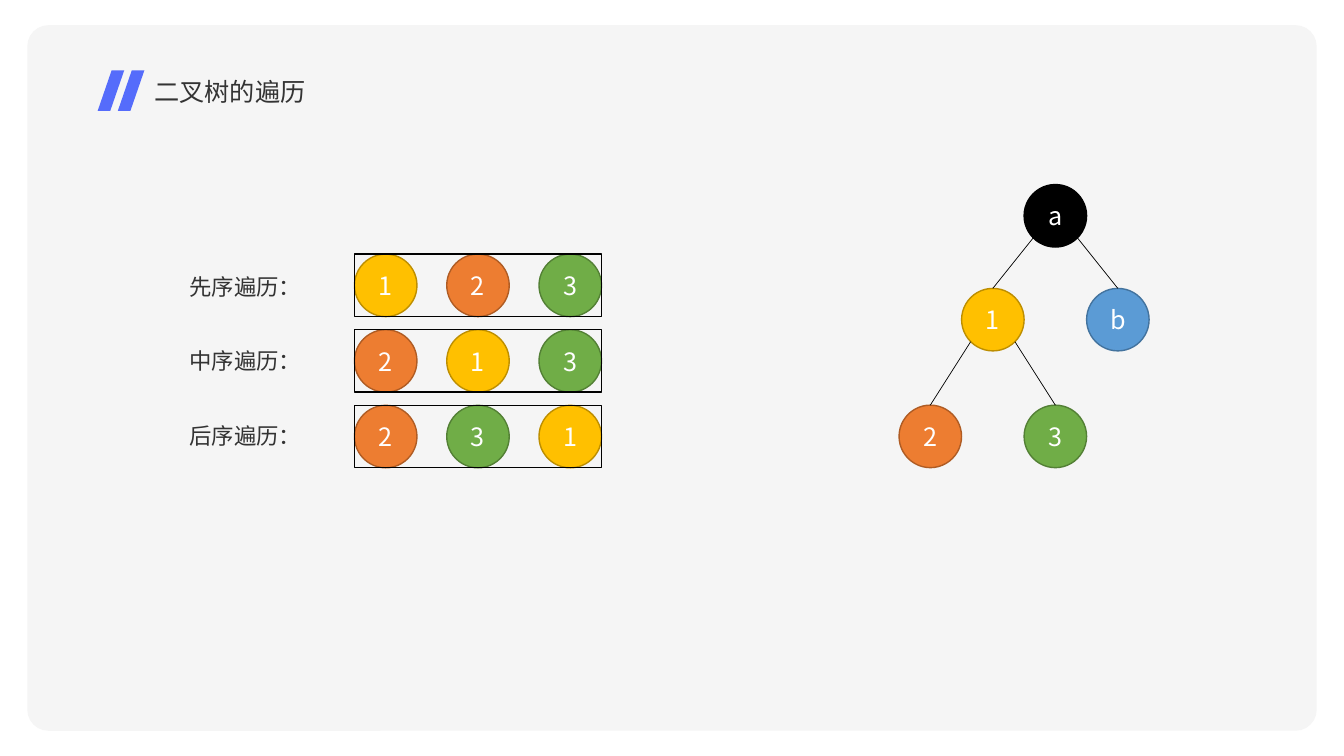
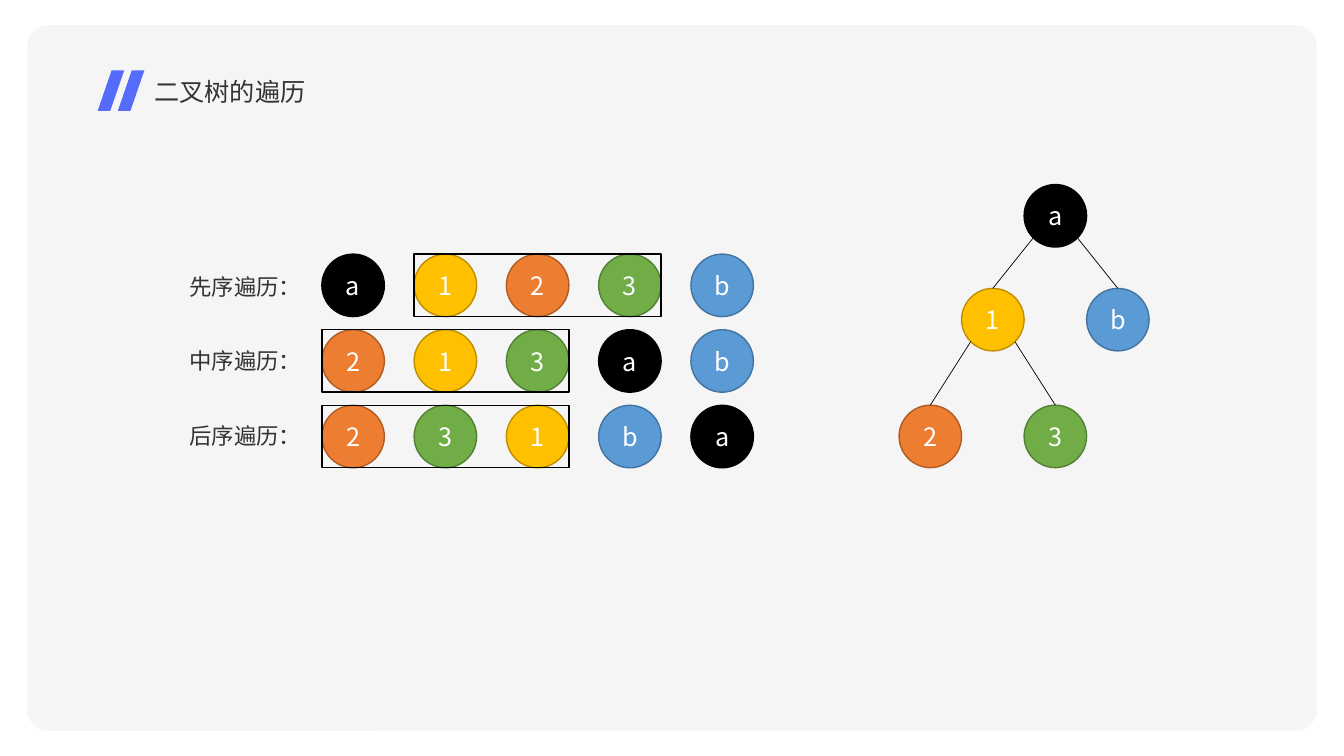
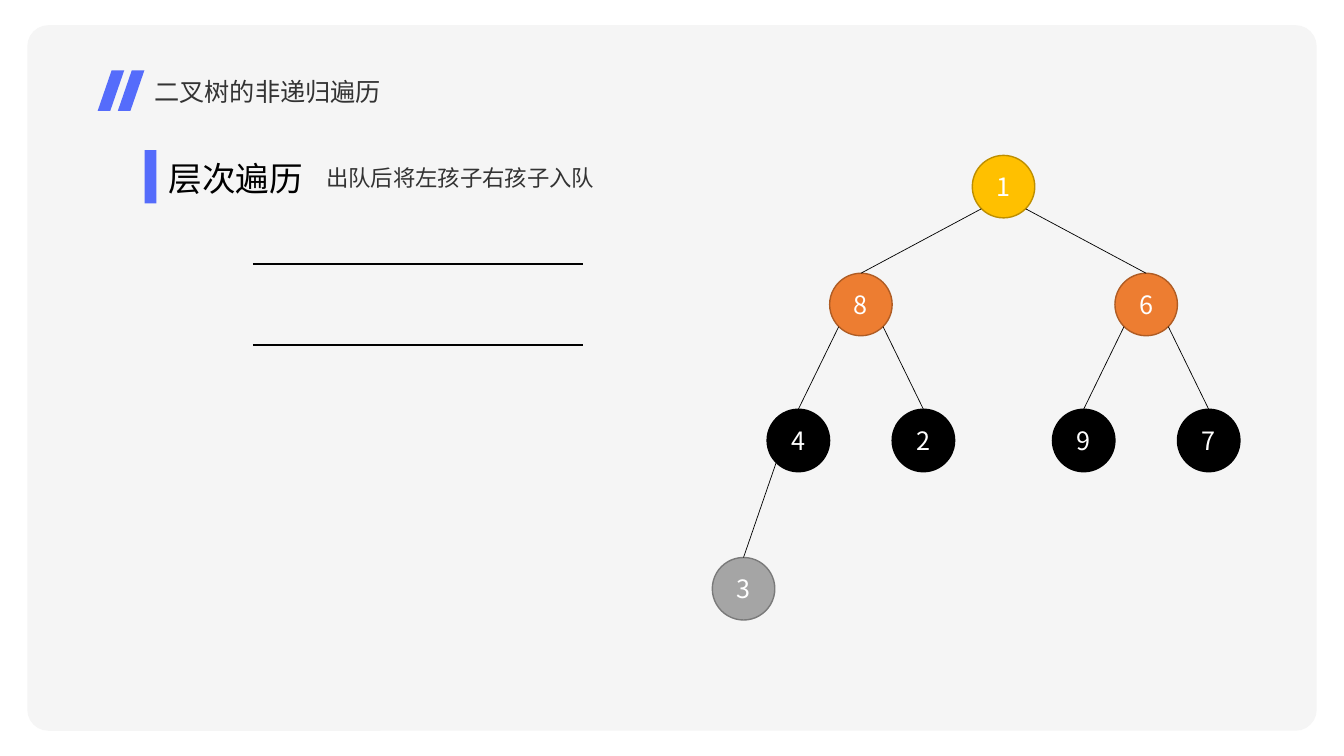
from lxml.etree import SubElement
from pptx import Presentation
from pptx.dml.color import RGBColor
from pptx.enum.shapes import MSO_CONNECTOR, MSO_SHAPE
from pptx.enum.text import MSO_ANCHOR, MSO_AUTO_SIZE, PP_ALIGN
from pptx.oxml.ns import qn
from pptx.util import Pt

FONT = "Noto Sans CJK SC"
BLACK = RGBColor(0x00, 0x00, 0x00)
WHITE = RGBColor(0xFF, 0xFF, 0xFF)
INK = RGBColor(0x33, 0x33, 0x33)
PANEL = RGBColor(0xF5, 0xF5, 0xF5)
ACCENT = RGBColor(0x55, 0x6C, 0xFB)

# Node styles: fill and outline
YELLOW = RGBColor(0xFF, 0xC0, 0x00), RGBColor(0xBD, 0x8E, 0x00)
ORANGE = RGBColor(0xED, 0x7D, 0x31), RGBColor(0xAF, 0x5C, 0x24)
GREEN = RGBColor(0x70, 0xAD, 0x47), RGBColor(0x53, 0x80, 0x35)
BLUE = RGBColor(0x5B, 0x9B, 0xD5), RGBColor(0x43, 0x73, 0x9E)
GREY = RGBColor(0xA5, 0xA5, 0xA5), RGBColor(0x7A, 0x7A, 0x7A)
DARK = BLACK, BLACK

NODE = 44.65
NODE_STEP = 65.9
ROW_STEP = 54
FRAMED = 3
NODE_STYLES = {"a": DARK, "1": YELLOW, "b": BLUE, "2": ORANGE, "3": GREEN}


def write(shape, content, size=18, colour=INK, align=PP_ALIGN.LEFT):
    frame = shape.text_frame
    frame.word_wrap = True
    frame.auto_size = MSO_AUTO_SIZE.NONE
    frame.vertical_anchor = MSO_ANCHOR.MIDDLE
    paragraph = frame.paragraphs[0]
    paragraph.alignment = align
    run = paragraph.add_run()
    run.text = content
    run.font.size = Pt(size)
    run.font.name = FONT
    run.font.color.rgb = colour
    SubElement(run.font._element, qn("a:ea"), typeface=FONT)


def paint(shape, fill=None, outline=None):
    shape.shadow.inherit = False
    if fill is None:
        shape.fill.background()
    else:
        shape.fill.solid()
        shape.fill.fore_color.rgb = fill
    if outline is None:
        shape.line.fill.background()
    else:
        shape.line.color.rgb = outline
        shape.line.width = Pt(1)


class Deck:
    def __init__(self):
        self.presentation = Presentation()
        self.presentation.slide_width = Pt(960)
        self.presentation.slide_height = Pt(540)
        self.layout = self.presentation.slide_layouts[5]
        heading, *unused = self.layout.placeholders
        for placeholder in unused:
            self.layout.shapes.element.remove(placeholder.element)
        heading.left, heading.top = Pt(103), Pt(47)
        heading.width, heading.height = Pt(300), Pt(36)
        self.slide = None

    def open_slide(self, title):
        first = self.slide is None
        self.slide = self.presentation.slides.add_slide(self.layout)
        if first:
            self.decorate_layout()
        write(self.slide.shapes.title, title)

    def decorate_layout(self):
        """Draw the panel and slashes, then move them to the shared layout."""
        panel = self.shape(MSO_SHAPE.ROUNDED_RECTANGLE, 19.5, 18, 921, 504, fill=PANEL)
        panel.adjustments[0] = 0.03
        decor = [panel, self.slash(69.8), self.slash(84.2)]
        for position, part in enumerate(decor, 2):
            self.layout.shapes.element.insert(position, part.element)

    def slash(self, left):
        top, bottom = 50.2, 79.2
        builder = self.slide.shapes.build_freeform(Pt(left + 10), Pt(top))
        corners = [(left + 19, top), (left + 9, bottom), (left, bottom)]
        builder.add_line_segments([(Pt(x), Pt(y)) for x, y in corners])
        slash = builder.convert_to_shape()
        paint(slash, fill=ACCENT)
        return slash

    def shape(self, kind, left, top, width, height, fill=None, outline=None):
        shape = self.slide.shapes.add_shape(kind, Pt(left), Pt(top), Pt(width), Pt(height))
        paint(shape, fill, outline)
        return shape

    def label(self, content, left, top, width, height, **text_format):
        box = self.slide.shapes.add_textbox(Pt(left), Pt(top), Pt(width), Pt(height))
        write(box, content, **text_format)

    def line(self, start, end, width):
        points = [Pt(value) for value in (*start, *end)]
        line = self.slide.shapes.add_connector(MSO_CONNECTOR.STRAIGHT, *points)
        line.line.color.rgb = BLACK
        line.line.width = Pt(width)
        SubElement(line.element.spPr, qn("a:effectLst"))
        return line

    def node(self, name, left, top, style):
        node = self.shape(MSO_SHAPE.OVAL, left, top, NODE, NODE, *style)
        frame = node.text_frame
        frame.margin_left = frame.margin_right = frame.margin_top = frame.margin_bottom = 0
        write(node, name, colour=WHITE, align=PP_ALIGN.CENTER)
        return node

    def tree(self, nodes, edges):
        """Draw nodes {name: (left, top, style)} and edges (parent + child names)."""
        drawn = {name: self.node(name, *place) for name, place in nodes.items()}
        reach = NODE / 2 * 0.71
        for parent, child in edges:
            left, top, _ = nodes[parent]
            child_left, child_top, _ = nodes[child]
            side = -1 if child_left < left else 1
            start = left + NODE / 2 + side * reach, top + NODE / 2 + reach
            edge = self.line(start, (child_left + NODE / 2, child_top), 0.5)
            edge.end_connect(drawn[child], 0)

    def sequence(self, order, left, top, frame_start):
        """Draw a row of nodes with a frame round the left subtree."""
        for column, name in enumerate(order):
            self.node(name, left + column * NODE_STEP, top, NODE_STYLES[name])
        self.shape(MSO_SHAPE.RECTANGLE, left + frame_start * NODE_STEP, top,
                   (FRAMED - 1) * NODE_STEP + NODE, NODE, outline=BLACK)


def traversal_slide(deck, left, orders):
    deck.open_slide("二叉树的遍历")
    places = {"a": (2, 131.8), "1": (1, 206), "b": (3, 206), "2": (0, 289.4), "3": (2, 289.4)}
    nodes = {name: (642.2 + column * NODE, top, NODE_STYLES[name])
             for name, (column, top) in places.items()}
    deck.tree(nodes, ["a1", "ab", "12", "13"])
    for row, (caption, order) in enumerate(zip(("先序遍历：", "中序遍历：", "后序遍历："), orders)):
        deck.label(caption, 128.2, 188.6 + row * 53.1, 100, 32, size=16)
        frame_start = 1 if order.startswith("a") else 0
        deck.sequence(order, left, 181.5 + row * ROW_STEP, frame_start)


def level_order_slide(deck):
    deck.open_slide("二叉树的非递归遍历")
    deck.shape(MSO_SHAPE.RECTANGLE, 103.3, 107.2, 8.4, 38, fill=ACCENT)
    deck.label("层次遍历", 111, 106, 115, 42, size=24, colour=BLACK, align=PP_ALIGN.CENTER)
    deck.label("出队后将左孩子右孩子入队", 226, 111, 216, 32, size=16)
    for queue_edge in (188.6, 246.6):
        deck.line((180.7, queue_edge), (416.3, queue_edge), 1.5)
    left_child, right_child = 592.6, 796.4
    level_2, level_3 = 195.2, 292.3
    deck.tree({
        "1": ((left_child + right_child) / 2, 111, YELLOW),
        "8": (left_child, level_2, ORANGE),
        "6": (right_child, level_2, ORANGE),
        "4": (left_child - NODE, level_3, DARK),
        "2": (left_child + NODE, level_3, DARK),
        "9": (right_child - NODE, level_3, DARK),
        "7": (right_child + NODE, level_3, DARK),
        "3": (508.8, 398.2, GREY),
    }, ["18", "16", "84", "82", "69", "67", "43"])


def main():
    deck = Deck()
    traversal_slide(deck, 253.2, ("123", "213", "231"))
    traversal_slide(deck, 229.9, ("a123b", "213ab", "231ba"))
    level_order_slide(deck)
    deck.presentation.save("out.pptx")


if __name__ == "__main__":
    main()
